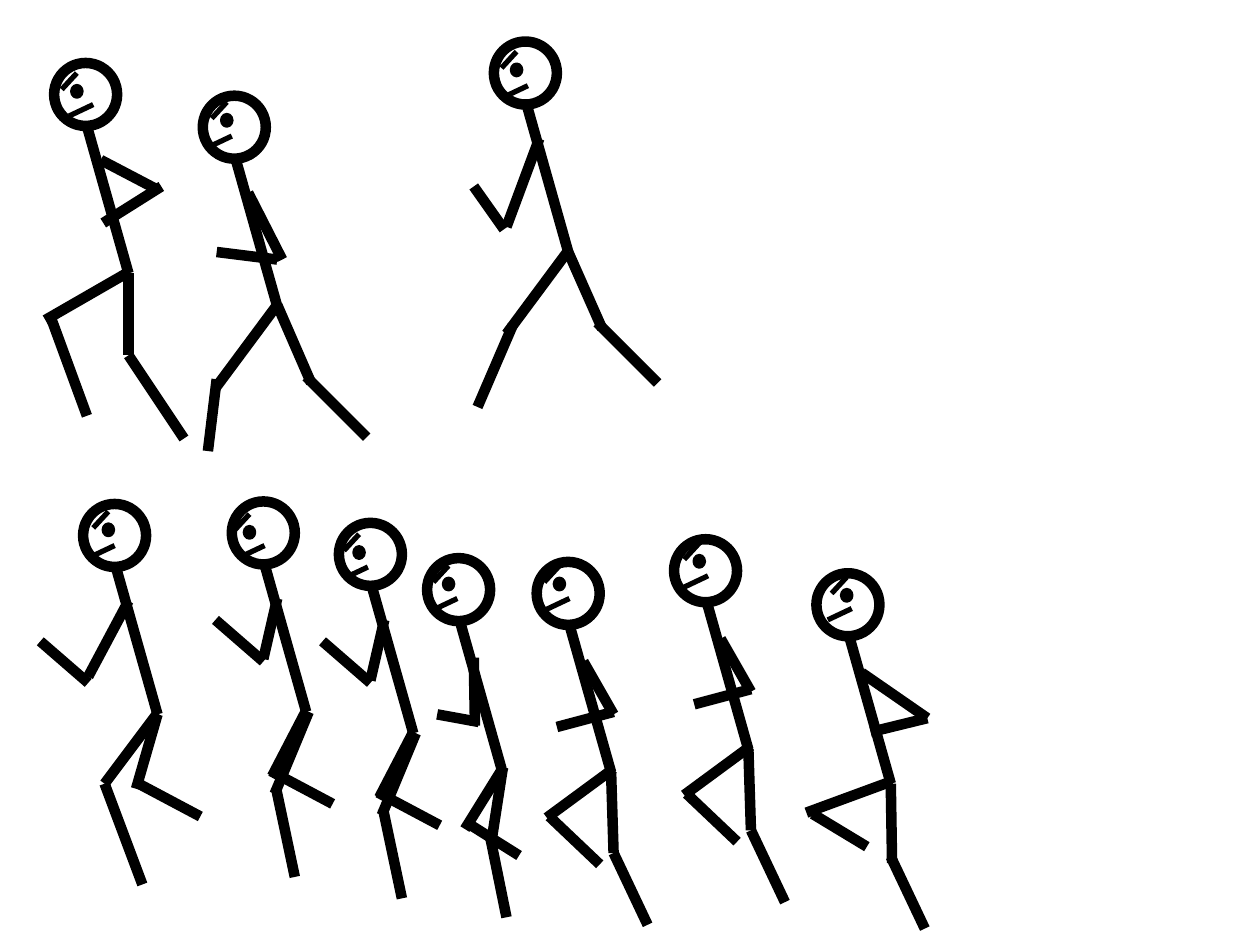
from pptx import Presentation
from pptx.dml.color import RGBColor
from pptx.enum import shapes
from pptx.oxml import ns
from pptx.util import Inches, Pt
from lxml import etree

COLORS = {"ink": "000000"}
INK = RGBColor.from_string(COLORS["ink"])

HEAD_SIZE = 0.5
EYE_SIZE = (0.08, 0.09)
TRUNK = (0.26, 0.5, 0.59, 1.67)
BROW = (0.04, -0.1, -0.08, 0.03)
MOUTH = (0, 0, -0.19, 0.09)

POSES = {
    "stride": [
        (0.59, 1.67, 0.86, 2.28), (0.82, 2.23, 1.3, 2.71),
        (0.59, 1.66, 0.1, 2.32), (0.15, 2.25, -0.13, 2.9),
        (0.36, 0.77, 0.1, 1.47), (0.08, 1.49, -0.16, 1.15),
    ],
    "landing": [
        (0.59, 1.66, 0.86, 2.28), (0.82, 2.23, 1.3, 2.71),
        (0.59, 1.66, 0.1, 2.32), (0.11, 2.25, 0.04, 2.82),
        (0.36, 0.77, 0.63, 1.3), (0.59, 1.3, 0.11, 1.24),
    ],
    "high knee": [
        (0.59, 1.67, 0.59, 2.32), (0.59, 2.32, 1.03, 2.98),
        (0.59, 1.66, -0.07, 2.04), (-0.03, 2.01, 0.26, 2.8),
        (0.37, 0.77, 0.81, 1), (0.85, 0.98, 0.39, 1.27),
    ],
    "heel up": [
        (0.59, 1.67, 0.42, 2.26), (0.44, 2.22, 0.93, 2.48),
        (0.59, 1.66, 0.17, 2.22), (0.17, 2.22, 0.47, 3.02),
        (0.36, 0.77, 0.04, 1.37), (0.04, 1.42, -0.34, 1.09),
    ],
    "legs together": [
        (0.59, 1.66, 0.32, 2.18), (0.31, 2.14, 0.8, 2.4),
        (0.61, 1.67, 0.34, 2.32), (0.35, 2.27, 0.5, 2.98),
        (0.36, 0.77, 0.25, 1.25), (0.25, 1.27, -0.13, 0.94),
    ],
    "legs crossing": [
        (0.6, 1.67, 0.51, 2.25), (0.5, 2.21, 0.63, 2.85),
        (0.61, 1.65, 0.3, 2.15), (0.3, 2.09, 0.73, 2.36),
        (0.37, 0.79, 0.38, 1.33), (0.41, 1.3, 0.08, 1.24),
    ],
    "knee forward": [
        (0.59, 1.67, 0.61, 2.31), (0.61, 2.31, 0.88, 2.88),
        (0.61, 1.64, 0.08, 2.03), (0.1, 2.02, 0.5, 2.4),
        (0.37, 0.79, 0.61, 1.21), (0.61, 1.19, 0.16, 1.31),
    ],
    "push off": [
        (0.59, 1.67, 0.6, 2.3), (0.59, 2.25, 0.86, 2.82),
        (0.6, 1.65, -0.08, 1.9), (-0.03, 1.91, 0.4, 2.17),
        (0.36, 0.79, 0.88, 1.15), (0.88, 1.15, 0.43, 1.26),
    ],
}

# pose, head, eye, mouth
RUNNERS = [
    ("stride", (3.92, 0.33), (4.06, 0.51), (4.19, 0.68)),
    ("landing", (1.61, 0.76), (1.76, 0.91), (1.84, 1.08)),
    ("high knee", (0.43, 0.5), (0.57, 0.68), (0.74, 0.83)),
    ("heel up", (0.66, 4), (0.82, 4.16), (0.91, 4.33)),
    ("legs together", (1.84, 3.98), (1.94, 4.18), (2.1, 4.33)),
    ("legs together", (2.69, 4.15), (2.81, 4.34), (2.92, 4.5)),
    ("legs crossing", (3.39, 4.43), (3.52, 4.59), (3.63, 4.75)),
    ("knee forward", (4.26, 4.46), (4.4, 4.59), (4.52, 4.75)),
    ("knee forward", (5.35, 4.28), (5.51, 4.41), (5.62, 4.57)),
    ("push off", (6.48, 4.55), (6.68, 4.68), (6.76, 4.83)),
]


def stroke(runner, anchor, ends, weight):
    x, y = anchor
    x1, y1, x2, y2 = ends
    line = runner.shapes.add_connector(
        shapes.MSO_CONNECTOR.STRAIGHT,
        Inches(x + x1), Inches(y + y1), Inches(x + x2), Inches(y + y2))
    line.line.color.rgb = INK
    line.line.width = Pt(weight)
    etree.SubElement(line._element.spPr, ns.qn("a:effectLst"))


def oval(runner, corner, width, height, weight, filled):
    x, y = corner
    disc = runner.shapes.add_shape(
        shapes.MSO_SHAPE.OVAL, Inches(x), Inches(y), Inches(width), Inches(height))
    disc.shadow.inherit = False
    disc.line.color.rgb = INK
    disc.line.width = Pt(weight)
    if filled:
        disc.fill.solid()
        disc.fill.fore_color.rgb = INK
    else:
        disc.fill.background()


prs = Presentation()
prs.slide_width = Inches(10)
prs.slide_height = Inches(7.5)
slide = prs.slides.add_slide(prs.slide_layouts[6])

for pose, head, eye, mouth in RUNNERS:
    runner = slide.shapes.add_group_shape()
    for limb in [TRUNK] + POSES[pose]:
        stroke(runner, head, limb, 6)
    oval(runner, head, HEAD_SIZE, HEAD_SIZE, 6, False)
    oval(runner, eye, *EYE_SIZE, 2, True)
    stroke(runner, eye, BROW, 3)
    stroke(runner, mouth, MOUTH, 3)

prs.save("out.pptx")
